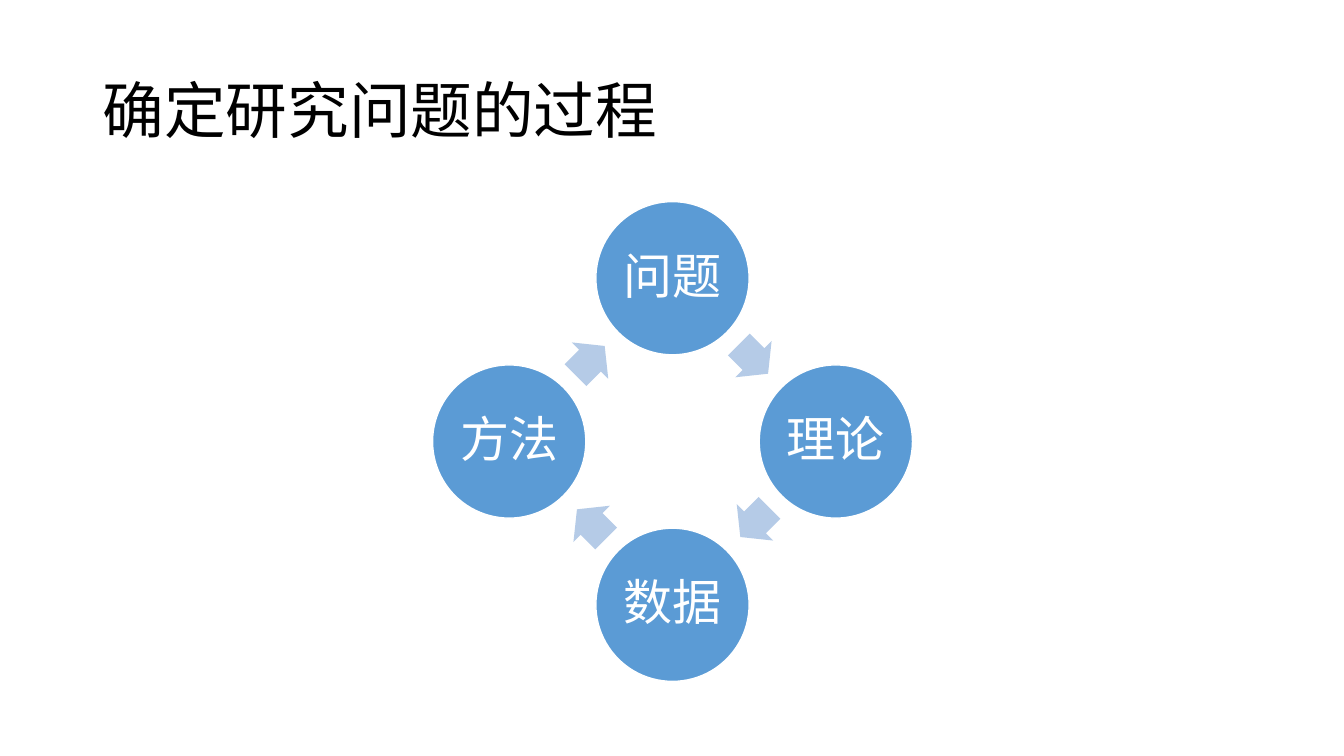
from dataclasses import dataclass
from math import cos, radians, sin

from lxml.etree import SubElement
from pptx import Presentation
from pptx.dml.color import RGBColor
from pptx.enum.shapes import MSO_SHAPE as Preset
from pptx.enum.text import MSO_ANCHOR as Anchor, PP_ALIGN as Align
from pptx.oxml.ns import qn
from pptx.util import Inches, Pt

BLACK = RGBColor(0x00, 0x00, 0x00)
WHITE = RGBColor(0xFF, 0xFF, 0xFF)
BLUE = RGBColor(0x5B, 0x9B, 0xD5)
PALE_BLUE = RGBColor(0xB5, 0xCB, 0xE7)
FONT = "Noto Sans CJK SC"

# Cycle geometry, in inches
CENTER_X, CENTER_Y = 6.67, 4.38
RADIUS = 1.62
DIAMETER = 1.52
ARROW_WIDTH, ARROW_HEIGHT = 0.41, 0.51
ARROW_SETBACK = 0.01


@dataclass
class Stage:
    label: str
    angle: int  # degrees clockwise from the right


STAGES = [Stage(label, 90 * index - 90)
          for index, label in enumerate(["问题", "理论", "数据", "方法"])]


def write_text(shape, text: str, size: int, color: RGBColor, align: Align) -> None:
    frame = shape.text_frame
    frame.word_wrap = True
    frame.vertical_anchor = Anchor.MIDDLE
    paragraph = frame.paragraphs[0]
    paragraph.text = text
    paragraph.alignment = align
    paragraph.line_spacing = 0.9
    font = paragraph.font
    font.size = Pt(size)
    font.name = FONT
    font.color.rgb = color
    # Chinese characters take the East Asian typeface
    properties = paragraph._p.pPr.find(qn("a:defRPr"))
    SubElement(properties, qn("a:ea")).set("typeface", FONT)


def add_centered(slide, preset: Preset, x: float, y: float,
                 width: float, height: float, color: RGBColor):
    shape = slide.shapes.add_shape(preset, Inches(x - width / 2), Inches(y - height / 2),
                                   Inches(width), Inches(height))
    shape.shadow.inherit = False
    shape.fill.solid()
    shape.fill.fore_color.rgb = color
    return shape


def add_stage(slide, stage: Stage) -> None:
    angle = radians(stage.angle)
    circle = add_centered(slide, Preset.OVAL, CENTER_X + RADIUS * cos(angle),
                          CENTER_Y + RADIUS * sin(angle), DIAMETER, DIAMETER, BLUE)
    circle.line.color.rgb = WHITE
    circle.line.width = Pt(1)
    frame = circle.text_frame
    frame.margin_left = frame.margin_right = Inches(0.05)
    frame.margin_top = frame.margin_bottom = Inches(0.05)
    write_text(circle, stage.label, 35, WHITE, Align.CENTER)


def add_arrow(slide, stage: Stage) -> None:
    """Point from this stage to the next, just short of halfway."""
    middle = radians(stage.angle + 45)
    heading = stage.angle + 135
    distance = RADIUS * cos(radians(45))
    x = CENTER_X + distance * cos(middle) - ARROW_SETBACK * cos(radians(heading))
    y = CENTER_Y + distance * sin(middle) - ARROW_SETBACK * sin(radians(heading))
    arrow = add_centered(slide, Preset.RIGHT_ARROW, x, y,
                         ARROW_WIDTH, ARROW_HEIGHT, PALE_BLUE)
    arrow.line.fill.background()
    arrow.adjustments[0] = 0.6
    arrow.adjustments[1] = 0.5
    arrow.rotation = heading


presentation = Presentation()
presentation.slide_width = Inches(13.33)
presentation.slide_height = Inches(7.5)
slide = presentation.slides.add_slide(presentation.slide_layouts[6])

# Title
title = slide.shapes.add_textbox(Inches(0.92), Inches(0.4), Inches(11.5), Inches(1.45))
write_text(title, "确定研究问题的过程", 44, BLACK, Align.LEFT)

# Research cycle
for stage in STAGES:
    add_stage(slide, stage)
    add_arrow(slide, stage)

presentation.save("out.pptx")
